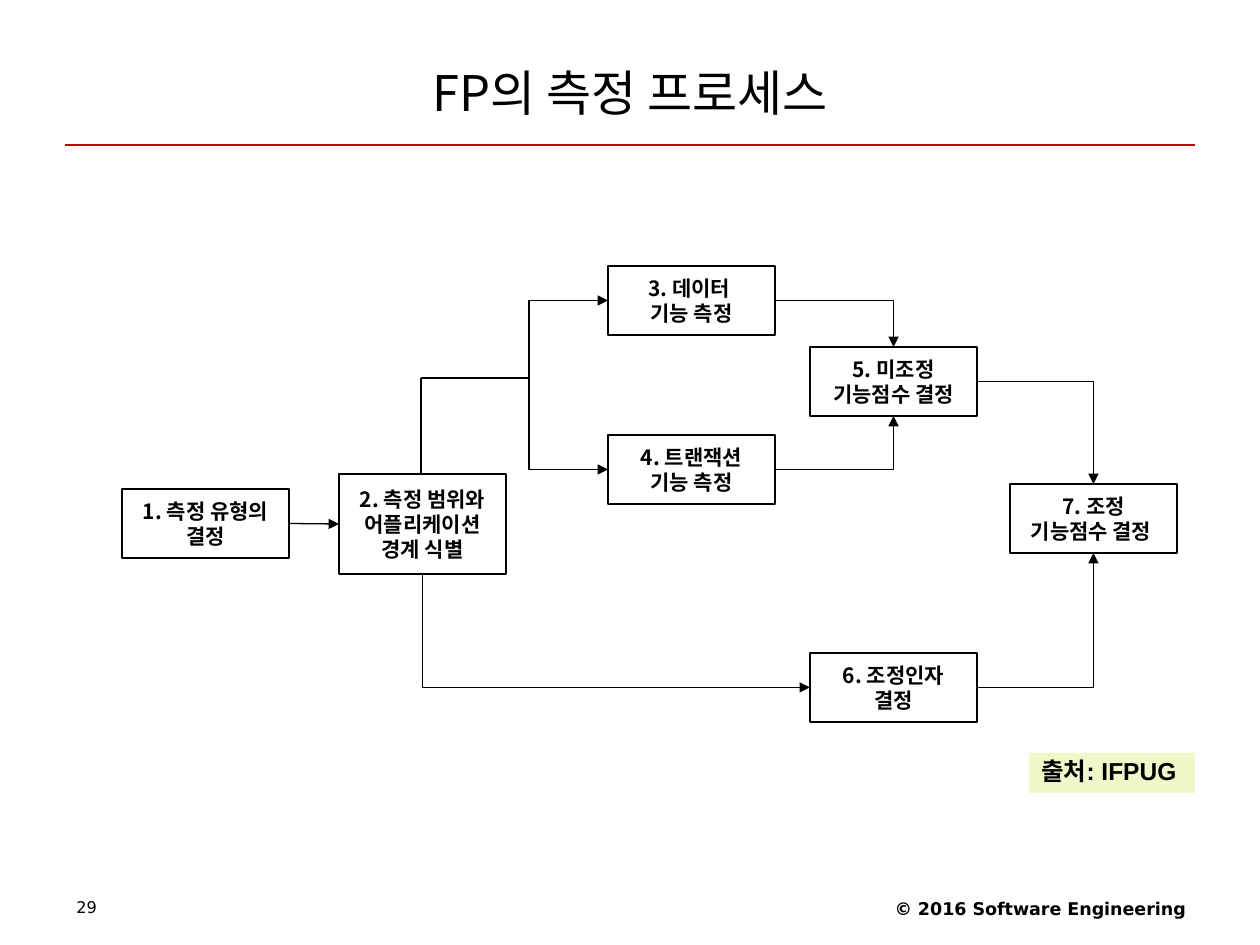
from lxml import etree
from pptx import Presentation
from pptx import util as u
from pptx.dml.color import RGBColor
from pptx.enum import shapes, text
from pptx.oxml.ns import qn

BLACK = RGBColor(0, 0, 0)
RED = RGBColor(0xC4, 0, 0)
LIME = RGBColor(0xEE, 0xF8, 0xC8)
KOREAN, LATIN, SANS = "Noto Sans CJK KR", "Arial", "DejaVu Sans"
TOP, LEFT, BOTTOM, RIGHT = range(4)  # connection sites of a rectangle
BOX_WIDTH, BOX_HEIGHT = 167, 69


def px(length):
    return u.Emu(round(length * 914400 / 126))


class SlideBuilder:
    def __init__(self, slide):
        self.slide = slide

    def fill_text(self, shape, content, size, font=KOREAN, bold=False,
                  align=text.PP_ALIGN.CENTER, anchor=text.MSO_ANCHOR.MIDDLE,
                  wrap=False, spacing=None):
        frame = shape.text_frame
        frame.text = content
        frame.word_wrap = wrap
        frame.vertical_anchor = anchor
        for paragraph in frame.paragraphs:
            paragraph.alignment = align
            if spacing:
                paragraph.line_spacing = spacing
            style = paragraph.font
            style.size, style.bold, style.name = u.Pt(size), bold, font
            style.color.rgb = BLACK
            east_asian = etree.SubElement(style._element, qn("a:ea"))
            east_asian.set("typeface", KOREAN)

    def text(self, left, top, width, height, content, size, **style):
        shape = self.slide.shapes.add_textbox(px(left), px(top), px(width), px(height))
        self.fill_text(shape, content, size, wrap=True, **style)

    def box(self, left, top, content, size=12, width=BOX_WIDTH, height=BOX_HEIGHT,
            fill=None, **style):
        shape = self.slide.shapes.add_shape(
            shapes.MSO_SHAPE.RECTANGLE, px(left), px(top), px(width), px(height))
        shape.shadow.inherit = False
        if fill:
            shape.fill.solid()
            shape.fill.fore_color.rgb = fill
            shape.line.fill.background()
        else:
            shape.fill.background()
            shape.line.color.rgb = BLACK
            shape.line.width = u.Pt(0.75)
        self.fill_text(shape, content, size, bold=True, **style)
        return shape

    def line(self, start, end, color=BLACK, width=0.75, arrow=None,
             kind=shapes.MSO_CONNECTOR.STRAIGHT):
        """Join two ends, each an (x, y) point or a (shape, site) pair."""
        connector = self.slide.shapes.add_connector(kind, 0, 0, 0, 0)
        if isinstance(start[0], int):
            connector.begin_x, connector.begin_y = map(px, start)
        else:
            connector.begin_connect(*start)
        if isinstance(end[0], int):
            connector.end_x, connector.end_y = map(px, end)
        else:
            connector.end_connect(*end)
        connector.line.color.rgb = color
        connector.line.width = u.Pt(width)
        properties = connector._element.spPr
        if arrow:
            head = etree.SubElement(properties.find(qn("a:ln")), qn(f"a:{arrow}"))
            head.set("type", "triangle")
        etree.SubElement(properties, qn("a:effectLst"))
        return connector

    def elbow(self, start, end, arrow="tailEnd"):
        """Run horizontally from start, then vertically to end."""
        connector = self.line(start, end, arrow=arrow, kind=shapes.MSO_CONNECTOR.ELBOW)
        connector._element.spPr.find(qn("a:prstGeom")).set("prst", "bentConnector2")


def main():
    presentation = Presentation()
    presentation.slide_width, presentation.slide_height = px(1260), px(945)
    builder = SlideBuilder(presentation.slides.add_slide(presentation.slide_layouts[6]))

    # Title and rule
    builder.text(63, 38, 1134, 107, "FP의 측정 프로세스", 28)
    builder.line((65, 145), (1195, 145), color=RED)

    # Process steps
    kind = builder.box(122, 489, "1. 측정 유형의\n결정")
    scope = builder.box(339, 474, "2. 측정 범위와\n어플리케이션\n경계 식별", height=100)
    data = builder.box(608, 266, "3. 데이터 \n기능 측정")
    transaction = builder.box(608, 435, "4. 트랜잭션\n기능 측정")
    factor = builder.box(810, 653, "6. 조정인자\n결정")
    unadjusted = builder.box(810, 347, "5. 미조정\n기능점수 결정")
    adjusted = builder.box(1010, 484, "7. 조정\n기능점수 결정 ")

    # Scope branches out to the two function counts and the factor
    builder.line((kind, RIGHT), (scope, LEFT), arrow="tailEnd")
    corner, junction = (421, 378), (529, 378)
    builder.line((421, 474), corner, width=1)
    builder.line(corner, junction, width=1)
    for target, end in ((data, junction), (transaction, junction),
                        (factor, (scope, BOTTOM))):
        builder.elbow((target, LEFT), end, arrow="headEnd")

    # Results flow into the function points
    for source, target, site in ((data, unadjusted, TOP),
                                 (transaction, unadjusted, BOTTOM),
                                 (unadjusted, adjusted, TOP),
                                 (factor, adjusted, BOTTOM)):
        builder.elbow((source, RIGHT), (target, site))

    # Source note
    builder.box(1029, 753, "출처: IFPUG", 14, width=166, height=40, fill=LIME, font=LATIN,
                align=text.PP_ALIGN.LEFT, anchor=text.MSO_ANCHOR.TOP, spacing=0.9)

    # Footer
    builder.text(799, 892, 399, 37, "© 2016 Software Engineering", 10, font=SANS,
                 bold=True, align=text.PP_ALIGN.RIGHT, anchor=text.MSO_ANCHOR.TOP)
    builder.text(64, 893, 294, 35, "29", 9.2, font=SANS, spacing=0.9,
                 align=text.PP_ALIGN.LEFT, anchor=text.MSO_ANCHOR.TOP)

    presentation.save("out.pptx")


if __name__ == "__main__":
    main()
